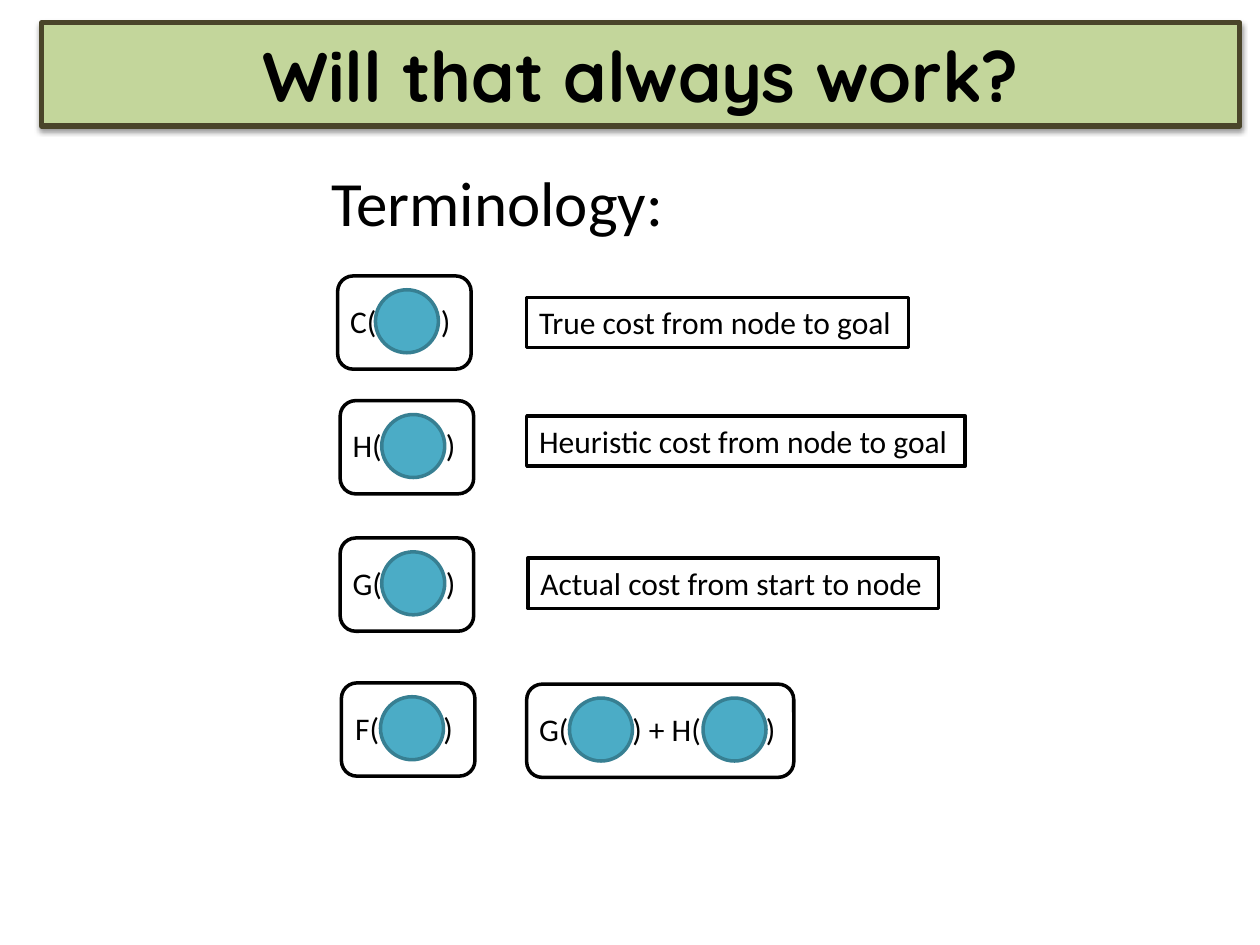
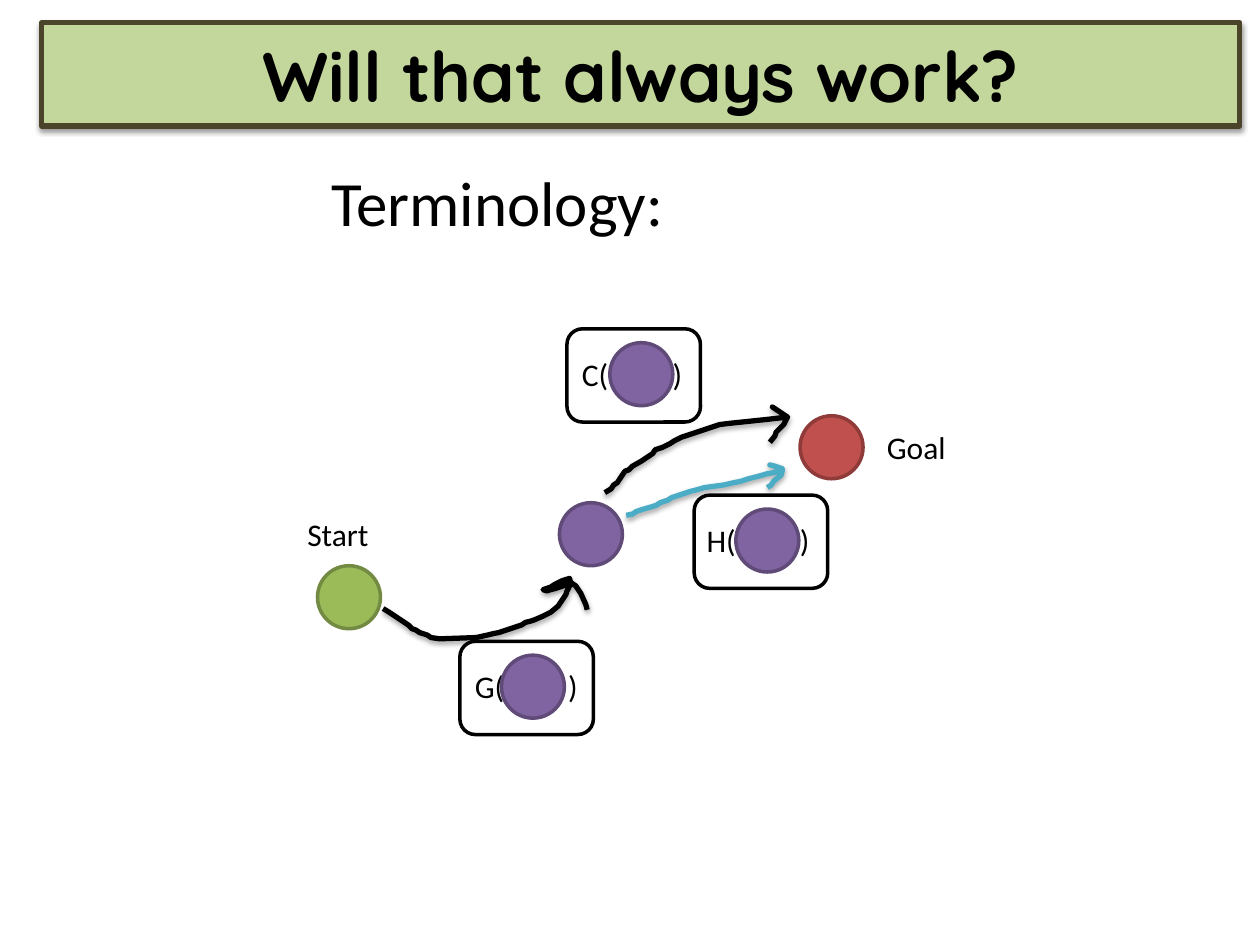
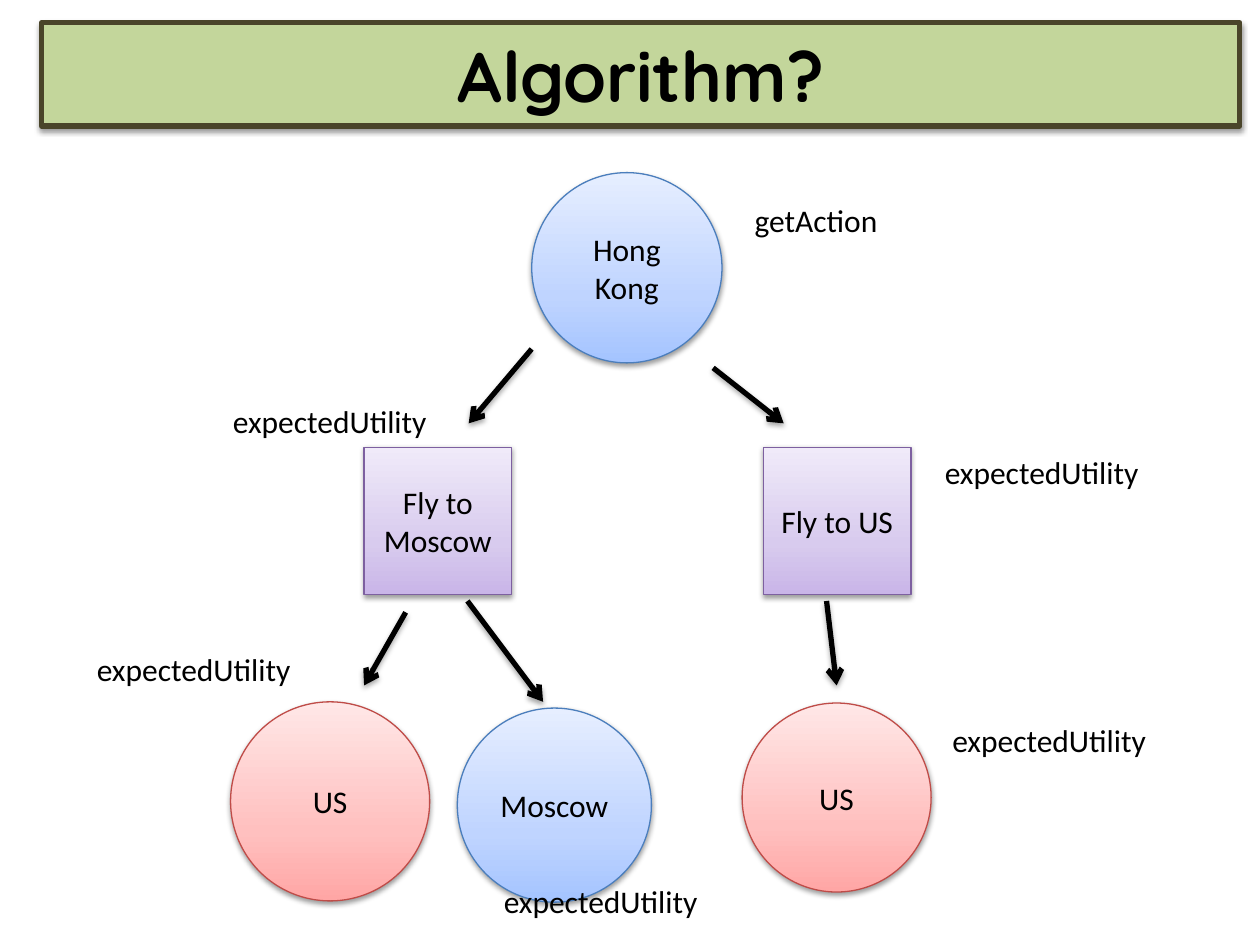
"""Build three slides on search-cost terminology and an expected-utility tree."""
from lxml import etree
from pptx import Presentation
from pptx.dml.color import RGBColor
from pptx.enum.shapes import MSO_CONNECTOR, MSO_SHAPE
from pptx.enum.text import MSO_ANCHOR, MSO_AUTO_SIZE, PP_ALIGN
from pptx.oxml.ns import qn
from pptx.util import Inches, Pt

RECTANGLE = MSO_SHAPE.RECTANGLE
ROUNDED = MSO_SHAPE.ROUNDED_RECTANGLE
OVAL = MSO_SHAPE.OVAL
STRAIGHT = MSO_CONNECTOR.STRAIGHT
TOP, MIDDLE = MSO_ANCHOR.TOP, MSO_ANCHOR.MIDDLE
LEFT, CENTER = PP_ALIGN.LEFT, PP_ALIGN.CENTER
FIXED, GROW = MSO_AUTO_SIZE.NONE, MSO_AUTO_SIZE.SHAPE_TO_FIT_TEXT

BLACK = RGBColor(0x00, 0x00, 0x00)
WHITE = RGBColor(0xFF, 0xFF, 0xFF)
BAND_FILL = RGBColor(0xC3, 0xD6, 0x9B)
BAND_LINE = RGBColor(0x4A, 0x45, 0x2A)
TEAL = RGBColor(0x4B, 0xAC, 0xC6)
TEAL_LINE = RGBColor(0x37, 0x7F, 0x92)
GREEN = RGBColor(0x9B, 0xBB, 0x59)
GREEN_LINE = RGBColor(0x73, 0x8A, 0x42)
RED = RGBColor(0xC0, 0x50, 0x4D)
RED_LINE = RGBColor(0x8E, 0x3B, 0x39)
PURPLE = RGBColor(0x80, 0x64, 0xA2)
PURPLE_LINE = RGBColor(0x5F, 0x4A, 0x78)
STATE_LINE = RGBColor(0x4B, 0x7E, 0xBC)
ACTION_LINE = RGBColor(0x7D, 0x60, 0xA0)
END_LINE = RGBColor(0xBF, 0x4C, 0x48)
STATE_SHADES = [RGBColor(0xA4, 0xC4, 0xFF), RGBColor(0xBF, 0xD4, 0xFF), RGBColor(0xE6, 0xEE, 0xFF)]
ACTION_SHADES = [RGBColor(0xC9, 0xB5, 0xE8), RGBColor(0xD8, 0xCB, 0xEE), RGBColor(0xF0, 0xEA, 0xF9)]
END_SHADES = [RGBColor(0xFF, 0xA6, 0xA5), RGBColor(0xFF, 0xC0, 0xBF), RGBColor(0xFF, 0xE7, 0xE7)]
SHADE_STOPS = (0, 35, 100)
SHAPE_SHADOW = (38, 1.6)
LINE_SHADOW = (35, 1.8)
CARD_WIDTH, CARD_HEIGHT, CIRCLE_SIZE, LABEL_HEIGHT = 1.06, 0.74, 0.5, 0.4


def write(shape, text, size=18, font="Calibri", bold=False, align=LEFT, anchor=TOP, wrap=False, tabs=()):
    """Put one formatted paragraph into a shape."""
    frame = shape.text_frame
    frame.word_wrap = wrap
    frame.auto_size = FIXED if wrap else GROW
    frame.vertical_anchor = anchor
    para = frame.paragraphs[0]
    para.alignment = align
    if tabs:
        tab_list = etree.SubElement(para._p.get_or_add_pPr(), qn("a:tabLst"))
        for position in tabs:
            etree.SubElement(tab_list, qn("a:tab"), pos=str(Inches(position)), algn="l")
    span = para.add_run()
    span.text = text
    span.font.size = Pt(size)
    span.font.name = font
    span.font.bold = bold
    span.font.color.rgb = BLACK


def paint(shape, line, width, fill=None, shades=None, shadow=None):
    """Set the outline, the plain or shaded fill and the shadow of a shape."""
    if fill is not None:
        shape.fill.solid()
        shape.fill.fore_color.rgb = fill
    if shades:
        shape.fill.gradient()
        shape.fill.gradient_angle = 90
        stop_list = shape._element.spPr.find(".//" + qn("a:gsLst"))
        stop_list.clear()
        for position, shade in zip(SHADE_STOPS, shades):
            stop = etree.SubElement(stop_list, qn("a:gs"), pos=str(position * 1000))
            etree.SubElement(stop, qn("a:srgbClr"), val=str(shade))
    shape.line.color.rgb = line
    shape.line.width = Pt(width)
    effects = etree.SubElement(shape._element.spPr, qn("a:effectLst"))
    if shadow:
        opacity, distance = shadow
        outer = etree.SubElement(effects, qn("a:outerShdw"), blurRad=str(Pt(3.1)),
                                 dist=str(Pt(distance)), dir="5400000", rotWithShape="0")
        color = etree.SubElement(outer, qn("a:srgbClr"), val=str(BLACK))
        etree.SubElement(color, qn("a:alpha"), val=str(opacity * 1000))


deck = Presentation()
deck.slide_width, deck.slide_height = Inches(10), Inches(7.5)
pages = []
for heading in ("Will that always work?", "Will that always work?", "Algorithm?"):
    page = deck.slides.add_slide(deck.slide_layouts[5])
    title = page.shapes.title
    title.left, title.top = Inches(0.33), Inches(0.18)
    title.width, title.height = Inches(9.51), Inches(0.82)
    paint(title, BAND_LINE, 3, fill=BAND_FILL, shadow=SHAPE_SHADOW)
    write(title, heading, size=40, font="Quicksand", bold=True, align=CENTER, anchor=MIDDLE, wrap=True)
    pages.append(page)
terms_page, path_page, tree_page = pages

for page in (terms_page, path_page):
    box = page.shapes.add_textbox(Inches(2.53), Inches(1.25), Inches(2.86), Inches(0.71))
    write(box, "Terminology:", size=36)

for left, top, fill, line in (
    (2.52, 4.49, GREEN, GREEN_LINE),
    (6.35, 3.3, RED, RED_LINE),
    (4.44, 3.99, PURPLE, PURPLE_LINE),
):
    node = path_page.shapes.add_shape(OVAL, Inches(left), Inches(top), Inches(CIRCLE_SIZE), Inches(CIRCLE_SIZE))
    paint(node, line, 2, fill=fill)

heuristic_stroke = [
    (497, 409), (502, 408), (505, 406), (511, 404), (518, 402), (521, 401), (524, 399), (530, 397),
    (533, 395), (542, 392), (548, 390), (552, 389), (559, 387), (574, 385), (583, 383), (588, 382),
    (594, 380), (602, 378), (609, 376), (615, 375), (621, 372), (615, 370), (611, 369), (615, 370),
    (621, 373), (620, 377), (614, 382), (612, 385), (609, 387)]
start_stroke = [
    (304, 483), (309, 486), (318, 492), (321, 494), (324, 496), (327, 499), (330, 500), (333, 502),
    (339, 504), (342, 506), (349, 507), (378, 506), (387, 504), (391, 503), (396, 502), (402, 500),
    (408, 498), (414, 496), (417, 494), (421, 493), (424, 492), (431, 489), (437, 486), (443, 481),
    (447, 475), (449, 472), (450, 469), (453, 463), (452, 459), (446, 461), (440, 464), (437, 466),
    (431, 468), (434, 469), (437, 468), (441, 467), (447, 465), (450, 464), (454, 463), (457, 465),
    (461, 471), (465, 480), (466, 484)]
true_stroke = [
    (480, 391), (485, 388), (487, 385), (490, 383), (494, 377), (496, 374), (499, 373), (502, 370),
    (509, 366), (512, 364), (515, 362), (518, 360), (520, 357), (526, 355), (532, 352), (535, 350),
    (541, 347), (550, 344), (565, 339), (571, 337), (579, 336), (608, 333), (625, 331), (616, 325),
    (613, 323), (616, 325), (622, 329), (625, 331), (622, 337), (616, 343), (615, 346), (611, 351)]
for stroke, color in ((heuristic_stroke, TEAL), (start_stroke, BLACK), (true_stroke, BLACK)):
    builder = path_page.shapes.build_freeform(*stroke[0], scale=Inches(0.01))
    builder.add_line_segments(stroke[1:], close=False)
    arrow = builder.convert_to_shape()
    arrow.fill.background()
    paint(arrow, color, 3, shadow=LINE_SHADOW)

for page, letter, left, top, indent, circle_indent, tab, fill, line in (
    (terms_page, "C", 2.68, 2.19, 0, 0.3, 0.72, TEAL, TEAL_LINE),
    (terms_page, "H", 2.7, 3.18, 0, 0.33, 0.74, TEAL, TEAL_LINE),
    (terms_page, "G", 2.7, 4.27, 0, 0.33, 0.74, TEAL, TEAL_LINE),
    (terms_page, "F", 2.71, 5.42, 0.01, 0.31, 0.7, TEAL, TEAL_LINE),
    (terms_page, "G+H", 4.18, 5.43, 0, 0.34, 0.74, TEAL, TEAL_LINE),
    (path_page, "H", 5.51, 3.93, 0, 0.33, 0.74, PURPLE, PURPLE_LINE),
    (path_page, "C", 4.5, 2.61, 0.02, 0.34, 0.72, PURPLE, PURPLE_LINE),
    (path_page, "G", 3.65, 5.09, 0.02, 0.33, 0.74, PURPLE, PURPLE_LINE),
):
    letters = letter.split("+")
    width = CARD_WIDTH * len(letters)
    card = page.shapes.add_shape(ROUNDED, Inches(left), Inches(top), Inches(width), Inches(CARD_HEIGHT))
    paint(card, BLACK, 2, fill=WHITE)
    box = page.shapes.add_textbox(Inches(left + indent), Inches(top + 0.155), Inches(width), Inches(LABEL_HEIGHT))
    write(box, " + ".join(f"{name}(\t)" for name in letters), wrap=True,
          tabs=[tab + CARD_WIDTH * index for index in range(len(letters))])
    for index in range(len(letters)):
        circle = page.shapes.add_shape(OVAL, Inches(left + circle_indent + CARD_WIDTH * index),
                                       Inches(top + 0.11), Inches(CIRCLE_SIZE), Inches(CIRCLE_SIZE))
        paint(circle, line, 2, fill=fill)

for text, left, top, width in (
    ("True cost from node to goal", 4.18, 2.36, 3.03),
    ("Heuristic cost from node to goal", 4.18, 3.3, 3.48),
    ("Actual cost from start to node", 4.19, 4.43, 3.26),
):
    meaning = terms_page.shapes.add_shape(RECTANGLE, Inches(left), Inches(top), Inches(width), Inches(LABEL_HEIGHT))
    paint(meaning, BLACK, 2, fill=WHITE)
    write(meaning, text)

for text, kind, left, top, size, shades, line in (
    ("Hong Kong", OVAL, 4.22, 1.37, 1.51, STATE_SHADES, STATE_LINE),
    ("Fly to Moscow", RECTANGLE, 2.89, 3.55, 1.17, ACTION_SHADES, ACTION_LINE),
    ("Fly to US", RECTANGLE, 6.06, 3.55, 1.17, ACTION_SHADES, ACTION_LINE),
    ("US", OVAL, 5.89, 5.58, 1.5, END_SHADES, END_LINE),
    ("US", OVAL, 1.83, 5.57, 1.58, END_SHADES, END_LINE),
    ("Moscow", OVAL, 3.63, 5.62, 1.54, STATE_SHADES, STATE_LINE),
):
    node = tree_page.shapes.add_shape(kind, Inches(left), Inches(top), Inches(size), Inches(size))
    paint(node, line, 0.75, shades=shades, shadow=SHAPE_SHADOW)
    write(node, text, align=CENTER, anchor=MIDDLE, wrap=True)

for ends in (
    (4.22, 2.77, 3.72, 3.36),
    (5.66, 2.92, 6.22, 3.36),
    (6.56, 4.77, 6.64, 5.44),
    (3.71, 4.77, 4.31, 5.57),
    (3.22, 4.86, 2.89, 5.44),
):
    branch = tree_page.shapes.add_connector(STRAIGHT, *[Inches(end) for end in ends])
    paint(branch, BLACK, 3, shadow=LINE_SHADOW)
    etree.SubElement(branch.line._get_or_add_ln(), qn("a:tailEnd"), type="arrow")

for page, text, left, top, width in (
    (path_page, "Goal", 6.94, 3.35, 0.67),
    (path_page, "Start", 2.34, 4.04, 0.69),
    (tree_page, "getAction", 5.89, 1.55, 1.19),
    (tree_page, "expectedUtility", 7.4, 3.55, 1.76),
    (tree_page, "expectedUtility", 1.75, 3.14, 1.76),
    (tree_page, "expectedUtility", 0.67, 5.11, 1.76),
    (tree_page, "expectedUtility", 7.46, 5.67, 1.76),
    (tree_page, "expectedUtility", 3.9, 6.95, 1.76),
):
    box = page.shapes.add_textbox(Inches(left), Inches(top), Inches(width), Inches(LABEL_HEIGHT))
    write(box, text)

deck.save("out.pptx")
